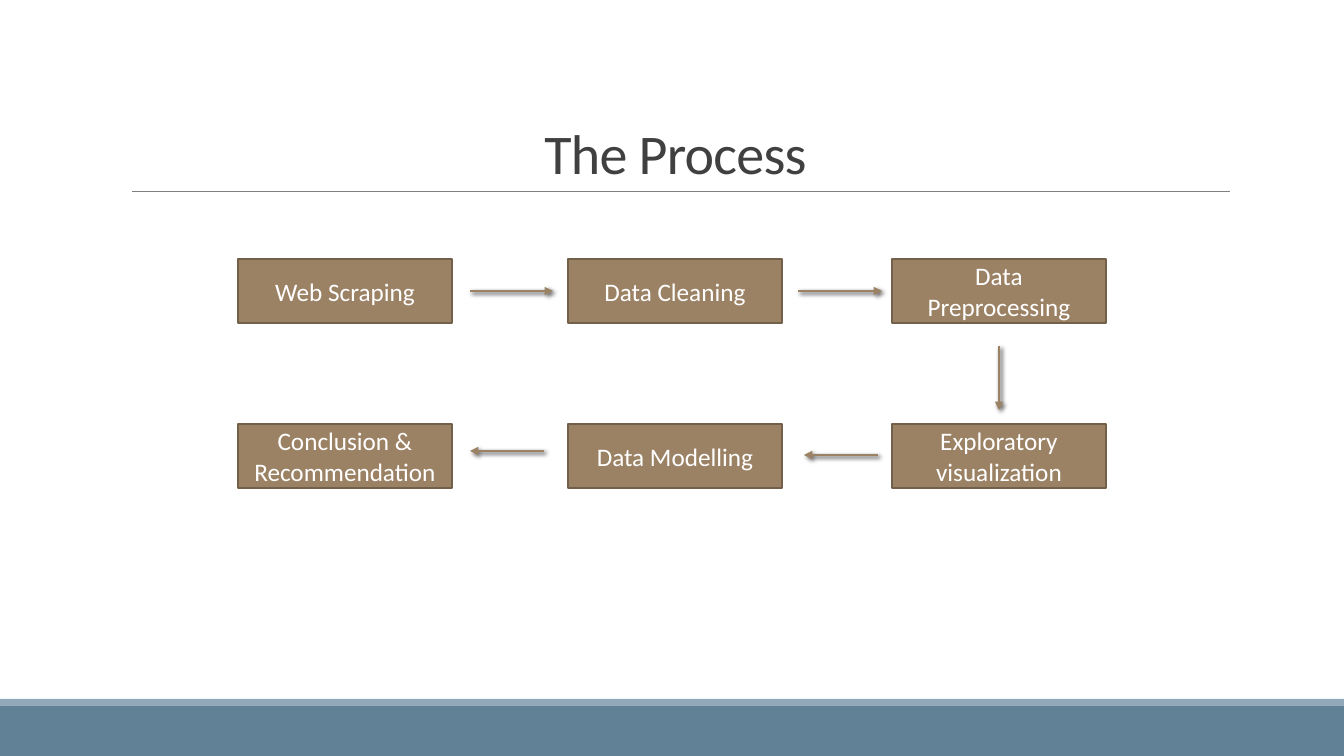
from lxml import etree
from pptx import Presentation
from pptx import util as u
from pptx.dml.color import RGBColor
from pptx.enum import shapes, text
from pptx.oxml import parse_xml
from pptx.oxml.ns import nsdecls, qn

PX = 914400 / 100.8
FONT = "Calibri"
COLORS = {
    "band": "618197",
    "stripe": "92A9B9",
    "rule": "808080",
    "title": "404040",
    "step": "9C8265",
    "edge": "73604B",
    "label": "FFFFFF",
}
STEP_SIZE = (214, 64)
COLUMNS = (238, 568, 892)
ROWS = (259, 424)
STEPS = (
    ("Web Scraping", "Data Cleaning", "Data Preprocessing"),
    ("Conclusion & Recommendation", "Data Modelling", "Exploratory visualization"),
)
ARROWS = (
    (470, 291, 553, 291),
    (798, 291, 882, 291),
    (999, 346, 999, 410),
    (878, 455, 804, 455),
    (544, 451, 470, 451),
)
SHADOW = (
    f'<a:effectLst {nsdecls("a")}>'
    '<a:outerShdw blurRad="38100" dist="25400" dir="2700000" rotWithShape="0">'
    '<a:srgbClr val="000000"><a:alpha val="60000"/></a:srgbClr>'
    "</a:outerShdw></a:effectLst>"
)


def px(*lengths):
    return [u.Emu(round(length * PX)) for length in lengths]


def color(name):
    return RGBColor.from_string(COLORS[name])


def style_paragraph(para, size, name):
    para.alignment = text.PP_ALIGN.CENTER
    para.font.name = FONT
    para.font.size = u.Pt(size)
    para.font.color.rgb = color(name)


def add_box(page, bounds, fill):
    box = page.shapes.add_shape(shapes.MSO_SHAPE.RECTANGLE, *px(*bounds))
    box.shadow.inherit = False
    box.fill.solid()
    box.fill.fore_color.rgb = color(fill)
    box.line.fill.background()
    return box


def add_step(page, left, top, label):
    box = add_box(page, (left, top, *STEP_SIZE), "step")
    box.line.color.rgb = color("edge")
    box.line.width = u.Pt(1.25)
    frame = box.text_frame
    frame.word_wrap = True
    frame.vertical_anchor = text.MSO_ANCHOR.MIDDLE
    frame.text = label
    style_paragraph(frame.paragraphs[0], 18, "label")


def add_line(page, ends, name, width):
    line = page.shapes.add_connector(shapes.MSO_CONNECTOR.STRAIGHT, *px(*ends))
    line.line.color.rgb = color(name)
    line.line.width = u.Pt(width)
    return line


def add_rule(page, ends):
    rule = add_line(page, ends, "rule", 0.5)
    etree.SubElement(rule._element.spPr, qn("a:effectLst"))


def add_arrow(page, ends):
    arrow = add_line(page, ends, "step", 2)
    etree.SubElement(arrow.line._get_or_add_ln(), qn("a:tailEnd"), type="triangle")
    arrow._element.spPr.append(parse_xml(SHADOW))


def set_title(page, words):
    title = page.shapes.title
    title.left, title.top, title.width, title.height = px(121, 31, 1109, 160)
    frame = title.text_frame
    frame.text = words
    frame.word_wrap = True
    frame.auto_size = text.MSO_AUTO_SIZE.NONE
    frame.vertical_anchor = text.MSO_ANCHOR.BOTTOM
    para = frame.paragraphs[0]
    para.line_spacing = 0.85
    style_paragraph(para, 40, "title")
    para.runs[0].font._element.set("spc", "-50")


def main():
    """Build the process slide and save it."""
    deck = Presentation()
    deck.slide_width, deck.slide_height = px(1344, 756)
    page = deck.slides.add_slide(deck.slide_layouts[5])
    add_box(page, (0, 706, 1344, 50), "band")
    add_box(page, (0, 699, 1344, 7), "stripe")
    add_rule(page, (132, 191, 1230, 191))
    set_title(page, "The Process")
    for top, labels in zip(ROWS, STEPS):
        for left, label in zip(COLUMNS, labels):
            add_step(page, left, top, label)
    for ends in ARROWS:
        add_arrow(page, ends)
    deck.save("out.pptx")


if __name__ == "__main__":
    main()
